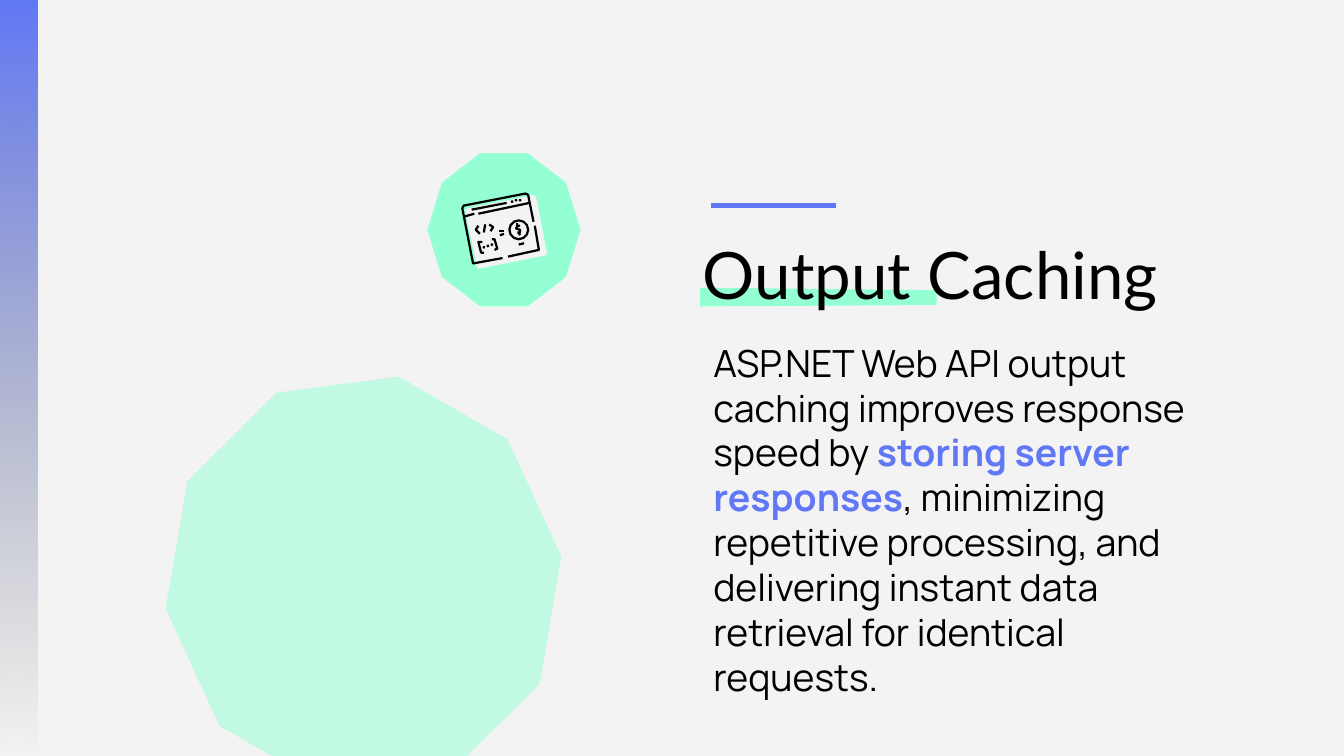
from dataclasses import dataclass

from lxml import etree
from pptx import Presentation
from pptx import util as u
from pptx.dml.color import RGBColor
from pptx.enum import shapes, text
from pptx.oxml.ns import qn

BLUE = RGBColor(0x61, 0x78, 0xF6)
MINT = RGBColor(0x95, 0xFF, 0xD4)
PALE = RGBColor(0xF3, 0xF3, 0xF3)
GRAY = RGBColor(0x73, 0x73, 0x73)
BLACK = RGBColor(0, 0, 0)
KIND = shapes.MSO_SHAPE
WIDE = 10
HIGH = WIDE * 9 / 16
Point = tuple[float, float]


@dataclass
class Deca:
    left: float
    top: float
    size: float
    turn: float = 0
    alpha: int = 100


@dataclass
class Stroke:
    lines: list[list[Point]]


DECAS = [Deca(1.22, 2.85, 2.97, -7.5, 53), Deca(3.18, 1.14, 1.14)]
PAGE = [(3.46, 1.56), (3.48, 1.55), (3.97, 1.45), (3.99, 1.47),
        (4.07, 1.88), (4.06, 1.9), (3.56, 2), (3.55, 1.99)]
BAND = [(5.21, 2.14), (5.21, 2.28), (6.97, 2.27), (6.97, 2.16)]
STROKES = [
    Stroke([[(3.98, 1.68), (4.01, 1.86), (3.78, 1.91)]]),
    Stroke([[(3.74, 1.92), (3.52, 1.96), (3.44, 1.55), (3.45, 1.53),
             (3.91, 1.44), (3.93, 1.45), (3.97, 1.65)],
            [(3.46, 1.61), (3.53, 1.59)], [(3.56, 1.59), (3.94, 1.51)]]),
    Stroke([[(3.51, 1.56), (3.77, 1.51)]]),
    Stroke([[(3.59, 1.8), (3.56, 1.8), (3.58, 1.88), (3.6, 1.88)]]),
    Stroke([[(3.66, 1.78), (3.68, 1.78), (3.7, 1.85), (3.68, 1.86)]]),
    Stroke([[(3.56, 1.68), (3.54, 1.71), (3.57, 1.74)]]),
    Stroke([[(3.64, 1.67), (3.67, 1.69), (3.65, 1.72)]]),
    Stroke([[(3.61, 1.67), (3.6, 1.73)]]),
    Stroke([[(3.71, 1.72), (3.75, 1.72)]]),
    Stroke([[(3.72, 1.75), (3.75, 1.74)]]),
    Stroke([[(3.87, 1.68), (3.85, 1.68), (3.84, 1.7), (3.87, 1.71),
             (3.87, 1.73), (3.85, 1.73)],
            [(3.85, 1.66), (3.85, 1.68)], [(3.86, 1.73), (3.87, 1.75)]]),
    Stroke([[(3.86, 1.82), (3.9, 1.81)]]),
]
DOTS = [(3.81, 1.5), (3.84, 1.49), (3.87, 1.49),
        (3.6, 1.84), (3.63, 1.83), (3.66, 1.82)]


def fade(clr, pct: int) -> None:
    etree.SubElement(clr, qn("a:alpha")).set("val", str(pct * 1000))


def paint(shape, fill: RGBColor | None, line: RGBColor | None = None,
          width: float = 1.2) -> None:
    shape.shadow.inherit = False
    if fill is None:
        shape.fill.background()
    else:
        shape.fill.solid()
        shape.fill.fore_color.rgb = fill
    if line is None:
        shape.line.fill.background()
    else:
        shape.line.color.rgb = line
        shape.line.width = u.Pt(width)


def preset(slide, kind, left: float, top: float, wide: float, high: float):
    return slide.shapes.add_shape(kind, u.Inches(left), u.Inches(top),
                                  u.Inches(wide), u.Inches(high))


def outline(slide, lines: list[list[Point]], close: bool = False):
    runs = [[(u.Inches(x), u.Inches(y)) for x, y in line] for line in lines]
    build = slide.shapes.build_freeform(*runs[0][0])
    for num, run in enumerate(runs):
        if num:
            build.move_to(*run[0])
        build.add_line_segments(run[1:], close=close)
    return build.convert_to_shape()


def deca(slide, item: Deca) -> None:
    shape = preset(slide, KIND.DECAGON, item.left, item.top, item.size, item.size)
    shape.rotation = item.turn
    paint(shape, MINT)
    if item.alpha < 100:
        fade(shape.fill._xPr.find(qn("a:solidFill"))[0], item.alpha)


def disc(slide, mid: Point, size: float, fill=None, line=None) -> None:
    x, y = mid
    paint(preset(slide, KIND.OVAL, x - size / 2, y - size / 2, size, size), fill, line)


def side(slide) -> None:
    bar = preset(slide, KIND.RECTANGLE, 0, 0, 0.28, HIGH)
    paint(bar, BLUE)
    bar.fill.gradient()
    bar.fill.gradient_angle = 270
    for stop, tone, pos in zip(bar.fill.gradient_stops, (BLUE, GRAY), (0, 1)):
        stop.color.rgb = tone
        stop.position = pos
    fade(bar.fill._xPr.findall(".//" + qn("a:srgbClr"))[-1], 0)


def write(para, words: str, *, font: str, size: float,
          color: RGBColor = BLACK, bold: bool = False) -> None:
    run = para.add_run()
    run.text = words
    run.font.name = font
    run.font.size = u.Pt(size)
    run.font.color.rgb = color
    run.font.bold = bold


def frame(shape, left: float, top: float, wide: float, high: float, anchor):
    shape.left, shape.top = u.Inches(left), u.Inches(top)
    shape.width, shape.height = u.Inches(wide), u.Inches(high)
    box = shape.text_frame
    box.word_wrap = True
    box.auto_size = text.MSO_AUTO_SIZE.NONE
    box.vertical_anchor = anchor
    box.margin_left = box.margin_right = u.Inches(0.1)
    box.margin_top = box.margin_bottom = u.Inches(0.1)
    para = box.paragraphs[0]
    para.alignment = text.PP_ALIGN.LEFT
    return para


def icon(slide) -> None:
    paint(outline(slide, [PAGE], close=True), PALE)
    for item in STROKES:
        paint(outline(slide, item.lines), None, BLACK)
    for mid in DOTS:
        disc(slide, mid, 0.02, fill=BLACK)
    disc(slide, (3.86, 1.71), 0.14, line=BLACK)


def main() -> None:
    deck = Presentation()
    deck.slide_width, deck.slide_height = u.Inches(WIDE), u.Inches(HIGH)
    slide = deck.slides.add_slide(deck.slide_layouts[5])
    slide.background.fill.solid()
    slide.background.fill.fore_color.rgb = PALE

    large, small = DECAS
    deca(slide, large)
    side(slide)
    rule = slide.shapes.add_connector(
        shapes.MSO_CONNECTOR.STRAIGHT, u.Inches(5.29), u.Inches(1.53),
        u.Inches(6.22), u.Inches(1.53))
    rule.line.color.rgb = BLUE
    rule.line.width = u.Pt(3)
    etree.SubElement(rule._element.spPr, qn("a:effectLst"))
    deca(slide, small)
    icon(slide)
    paint(outline(slide, [BAND], close=True), MINT)

    body = slide.shapes.add_textbox(0, 0, 0, 0)
    para = frame(body, 5.21, 2.43, 3.96, 1.77, text.MSO_ANCHOR.TOP)
    look = {"font": "Manrope", "size": 20}
    write(para, "ASP.NET Web API output caching improves response speed by ", **look)
    write(para, "storing server responses", color=BLUE, bold=True, **look)
    write(para, ", minimizing repetitive processing, and delivering instant data "
          "retrieval for identical requests.", **look)

    title = slide.shapes.title
    para = frame(title, 5.13, 1.71, 4.24, 0.65, text.MSO_ANCHOR.MIDDLE)
    write(para, "Output Caching", font="Lato", size=35)
    slide.shapes._spTree.append(title._element)
    deck.save("out.pptx")


if __name__ == "__main__":
    main()
